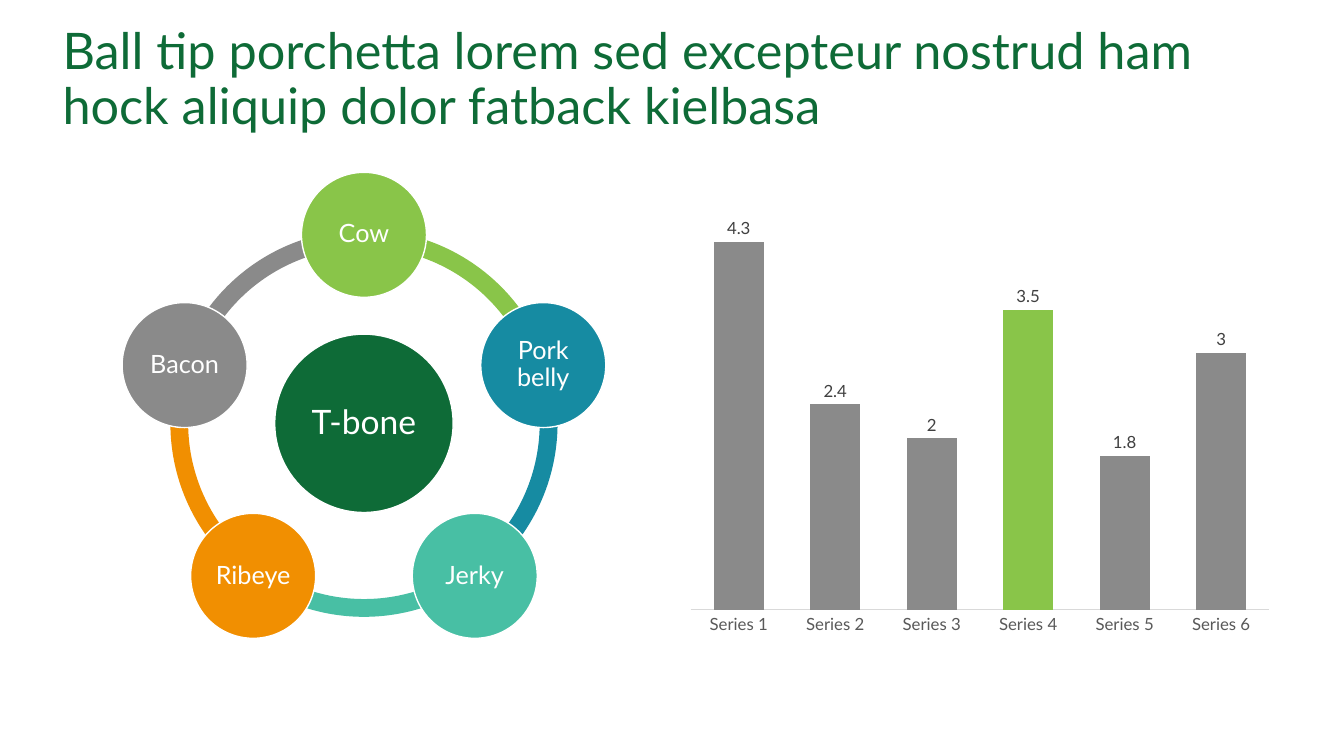
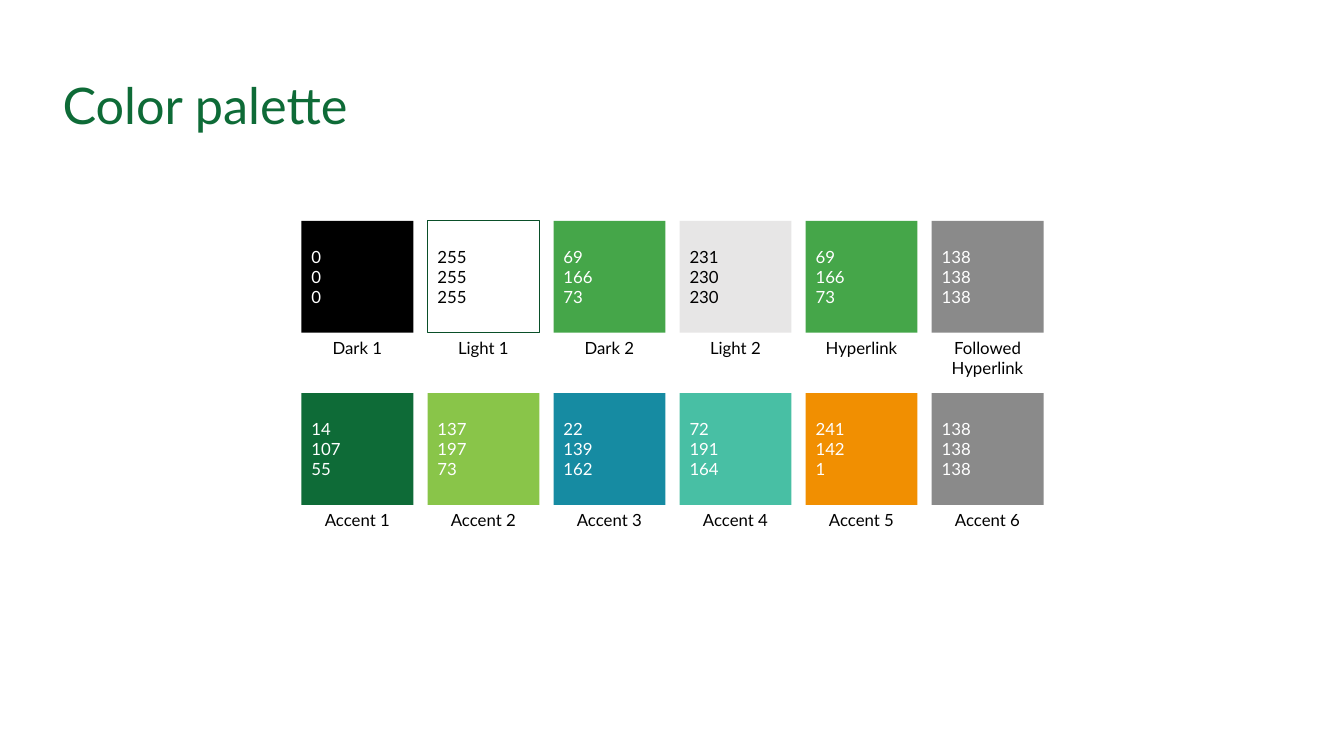
import math

from pptx import Presentation
from pptx.chart import data
from pptx.dml.color import RGBColor
from pptx.enum import chart as ch, shapes, text
from pptx.util import Inches, Pt

FONT = "Lato"
BLACK = RGBColor(0x00, 0x00, 0x00)
WHITE = RGBColor(0xFF, 0xFF, 0xFF)
LEAF = RGBColor(0x45, 0xA6, 0x49)
PALE = RGBColor(0xE7, 0xE6, 0xE6)
GREEN = RGBColor(0x0E, 0x6B, 0x37)
LIME = RGBColor(0x89, 0xC5, 0x49)
BLUE = RGBColor(0x16, 0x8B, 0xA2)
TEAL = RGBColor(0x48, 0xBF, 0xA4)
ORANGE = RGBColor(0xF1, 0x8F, 0x01)
GRAY = RGBColor(0x8A, 0x8A, 0x8A)
OUTLINE = RGBColor(0x0A, 0x4F, 0x29)
AXIS_LINE = RGBColor(0xD9, 0xD9, 0xD9)
AXIS_TEXT = RGBColor(0x59, 0x59, 0x59)
VALUE_TEXT = RGBColor(0x40, 0x40, 0x40)

SHAPE = shapes.MSO_SHAPE
LEFT, CENTER = text.PP_ALIGN.LEFT, text.PP_ALIGN.CENTER
MIDDLE, BOTTOM = text.MSO_ANCHOR.MIDDLE, text.MSO_ANCHOR.BOTTOM


class Deck:
    """Holds the presentation style and the slide being built."""

    def __init__(self):
        self.prs = Presentation()
        self.prs.slide_width, self.prs.slide_height = Inches(13.33), Inches(7.5)
        self.slide = None

    def font(self, font, size, color):
        font.name, font.size, font.color.rgb = FONT, Pt(size), color

    def label(self, sp, words, size, color, align=LEFT, anchor=None, inset=None, spacing=None):
        tf = sp.text_frame
        tf.text = words
        tf.word_wrap = True
        if anchor is not None:
            tf.vertical_anchor = anchor
        if inset is not None:
            tf.margin_left = tf.margin_right = Inches(inset)
            tf.margin_top = tf.margin_bottom = Inches(inset)
        for p in tf.paragraphs:
            p.alignment, p.line_spacing = align, spacing
            for r in p.runs:
                self.font(r.font, size, color)

    def new_slide(self, title):
        self.slide = self.prs.slides.add_slide(self.prs.slide_layouts[5])
        sp = self.slide.shapes.title
        sp.left, sp.top, sp.width, sp.height = map(Inches, (0.62, 0.3, 12.08, 1.04))
        self.label(sp, title, 36, GREEN, anchor=BOTTOM, inset=0, spacing=0.9)
        sp.text_frame.auto_size = text.MSO_AUTO_SIZE.NONE

    def shape(self, kind, x, y, w, h, fill, line=None):
        sp = self.slide.shapes.add_shape(kind, *map(Inches, (x, y, w, h)))
        sp.shadow.inherit = False
        sp.fill.solid()
        sp.fill.fore_color.rgb = fill
        if line is None:
            sp.line.fill.background()
        else:
            sp.line.color.rgb, sp.line.width = line, Pt(1)
        return sp

    def arc(self, cx, cy, size, start, end, color):
        sp = self.shape(SHAPE.BLOCK_ARC, cx - size / 2, cy - size / 2, size, size, color)
        for i, value in enumerate((start % 360 * 0.6, end % 360 * 0.6, 0.046)):
            sp.adjustments[i] = value

    def circle(self, cx, cy, size, words, points, color):
        sp = self.shape(SHAPE.OVAL, cx - size / 2, cy - size / 2, size, size, color, WHITE)
        self.label(sp, words, points, WHITE, CENTER, MIDDLE, 0.03, 0.9)

    def wheel(self, cx, cy, hub, nodes):
        step = 360 / len(nodes)
        for i, (_, color) in enumerate(nodes):
            self.arc(cx, cy, 3.84, 270 + i * step, 270 + (i + 1) * step, color)
        self.circle(cx, cy, 1.77, hub, 24, GREEN)
        for i, (words, color) in enumerate(nodes):
            angle = math.radians(270 + i * step)
            x, y = cx + 1.87 * math.cos(angle), cy + 1.87 * math.sin(angle)
            self.circle(x, y, 1.24, words, 18, color)

    def columns(self, x, y, w, h, values, highlight):
        cd = data.CategoryChartData()
        cd.categories = [f"Series {i + 1}" for i in range(len(values))]
        cd.add_series("Series 1", values)
        chart = self.slide.shapes.add_chart(
            ch.XL_CHART_TYPE.COLUMN_CLUSTERED, *map(Inches, (x, y, w, h)), cd).chart
        chart.has_legend = chart.has_title = False
        self.font(chart.font, 10, BLACK)

        plot = chart.plots[0]
        plot.gap_width, plot.overlap, plot.vary_by_categories = 92, -25, False
        plot.has_data_labels = True
        labels = plot.data_labels
        labels.show_value = True
        labels.position = ch.XL_LABEL_POSITION.OUTSIDE_END
        self.font(labels.font, 12, VALUE_TEXT)
        series = plot.series[0]
        for fmt, color in ((series.format, GRAY), (series.points[highlight].format, LIME)):
            fmt.fill.solid()
            fmt.fill.fore_color.rgb = color

        cat, val = chart.category_axis, chart.value_axis
        cat.major_tick_mark = ch.XL_TICK_MARK.NONE
        cat.format.line.color.rgb, cat.format.line.width = AXIS_LINE, Pt(0.75)
        self.font(cat.tick_labels.font, 12, AXIS_TEXT)
        val.minimum_scale, val.maximum_scale, val.major_unit = 0, 5, 1
        val.has_major_gridlines = val.visible = False

    def swatch(self, x, y, name, fill, values, ink=WHITE, line=None):
        size, label_width = 1.11, 1.53
        sp = self.shape(SHAPE.RECTANGLE, x, y, size, size, fill, line)
        self.label(sp, values.replace(" ", "\n"), 12, ink, anchor=MIDDLE)
        label_x = x - (label_width - size) / 2
        sp = self.slide.shapes.add_textbox(*map(Inches, (label_x, y + size, label_width, 0.3)))
        self.label(sp, name, 12, BLACK, CENTER)


def main():
    deck = Deck()
    deck.new_slide("Ball tip porchetta lorem sed excepteur nostrud ham hock "
                   "aliquip dolor fatback kielbasa")
    deck.wheel(3.61, 4.2, "T-bone", [
        ("Cow", LIME), ("Pork belly", BLUE), ("Jerky", TEAL),
        ("Ribeye", ORANGE), ("Bacon", GRAY)])
    deck.columns(6.73, 1.71, 5.98, 4.67, (4.3, 2.4, 2, 3.5, 1.8, 3), highlight=3)

    deck.new_slide("Color palette")
    palette = [
        [("Dark 1", BLACK, "0 0 0"),
         ("Light 1", WHITE, "255 255 255", BLACK, OUTLINE),
         ("Dark 2", LEAF, "69 166 73"),
         ("Light 2", PALE, "231 230 230", BLACK),
         ("Hyperlink", LEAF, "69 166 73"),
         ("Followed Hyperlink", GRAY, "138 138 138")],
        [("Accent 1", GREEN, "14 107 55"),
         ("Accent 2", LIME, "137 197 73"),
         ("Accent 3", BLUE, "22 139 162"),
         ("Accent 4", TEAL, "72 191 164"),
         ("Accent 5", ORANGE, "241 142 1"),
         ("Accent 6", GRAY, "138 138 138")]]
    for row, swatches in enumerate(palette):
        for col, swatch in enumerate(swatches):
            deck.swatch(2.99 + col * 1.25, 2.19 + row * 1.71, *swatch)
    deck.prs.save("out.pptx")


if __name__ == "__main__":
    main()
